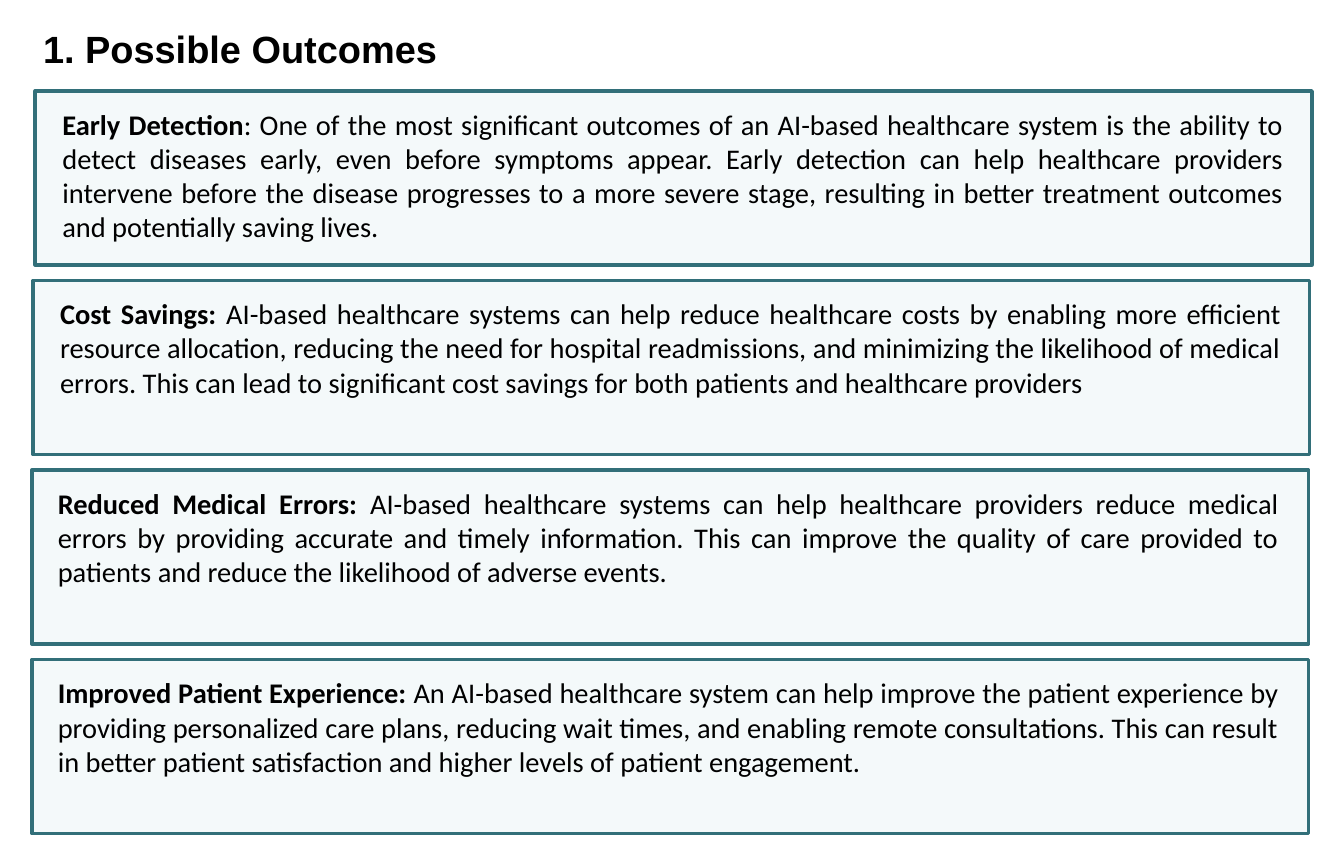
from pptx import Presentation
from pptx.dml.color import RGBColor
from pptx.enum.shapes import MSO_SHAPE
from pptx.enum.text import MSO_AUTO_SIZE, PP_ALIGN
from pptx.util import Cm, Inches, Pt

HEADING = "1. Possible Outcomes"
# card left, text left, text height, bold lead, body
OUTCOMES = [
    (0.31, 0.45, 1.31, "Early Detection",
     ": One of the most significant outcomes of an AI-based healthcare system is the ability to "
     "detect diseases early, even before symptoms appear. Early detection can help healthcare "
     "providers intervene before the disease progresses to a more severe stage, resulting in "
     "better treatment outcomes and potentially saving lives."),
    (0.29, 0.43, 1.01, "Cost Savings: ",
     "AI-based healthcare systems can help reduce healthcare costs by enabling more efficient "
     "resource allocation, reducing the need for hospital readmissions, and minimizing the "
     "likelihood of medical errors. This can lead to significant cost savings for both patients "
     "and healthcare providers"),
    (0.28, 0.41, 1.01, "Reduced Medical Errors: ",
     "AI-based healthcare systems can help healthcare providers reduce medical errors by "
     "providing accurate and timely information. This can improve the quality of care provided "
     "to patients and reduce the likelihood of adverse events."),
    (0.28, 0.41, 1.01, "Improved Patient Experience: ",
     "An AI-based healthcare system can help improve the patient experience by providing "
     "personalized care plans, reducing wait times, and enabling remote consultations. This can "
     "result in better patient satisfaction and higher levels of patient engagement."),
]

SLIDE_WIDTH, SLIDE_HEIGHT = Cm(30), Inches(7.5)
CARD_WIDTH, CARD_HEIGHT = 11.22, 1.53
FIRST_TOP, LAST_TOP = 0.8, 5.8
PITCH = (LAST_TOP - FIRST_TOP) / (len(OUTCOMES) - 1)
DROP = 0.09
BODY_WIDTH = 10.93
INK, CARD_FILL, CARD_LINE = "000000", "F4F9FA", "326F79"


def color(hex_code):
    return RGBColor.from_string(hex_code)


def add_text(slide, box, runs, font, size, align):
    """Add a wrapped text box; runs are (text, bold) pairs."""
    frame = slide.shapes.add_textbox(*map(Inches, box)).text_frame
    frame.word_wrap = True
    paragraph = frame.paragraphs[0]
    paragraph.alignment = align
    for text, bold in runs:
        run = paragraph.add_run()
        run.text = text
        run.font.name = font
        run.font.size = Pt(size)
        run.font.bold = bold
        run.font.color.rgb = color(INK)
    return frame


def add_card(slide, left, top):
    card = slide.shapes.add_shape(
        MSO_SHAPE.RECTANGLE, *map(Inches, (left, top, CARD_WIDTH, CARD_HEIGHT)))
    card.shadow.inherit = False
    card.fill.solid()
    card.fill.fore_color.rgb = color(CARD_FILL)
    card.line.color.rgb = color(CARD_LINE)
    card.line.width = Pt(2.25)


def main():
    deck = Presentation()
    deck.slide_width, deck.slide_height = SLIDE_WIDTH, SLIDE_HEIGHT
    slide = deck.slides.add_slide(deck.slide_layouts[6])

    add_text(slide, (0.28, 0.18, 5.41, 0.7), [(HEADING, True)], "Arial", 24, PP_ALIGN.LEFT)
    for row, (card_left, text_left, height, lead, body) in enumerate(OUTCOMES):
        top = FIRST_TOP + row * PITCH
        add_card(slide, card_left, top)
        outcome = add_text(slide, (text_left, top + DROP, BODY_WIDTH, height),
                           [(lead, True), (body, False)], "Calibri", 18, PP_ALIGN.JUSTIFY)
        outcome.auto_size = MSO_AUTO_SIZE.SHAPE_TO_FIT_TEXT

    deck.save("out.pptx")


if __name__ == "__main__":
    main()
